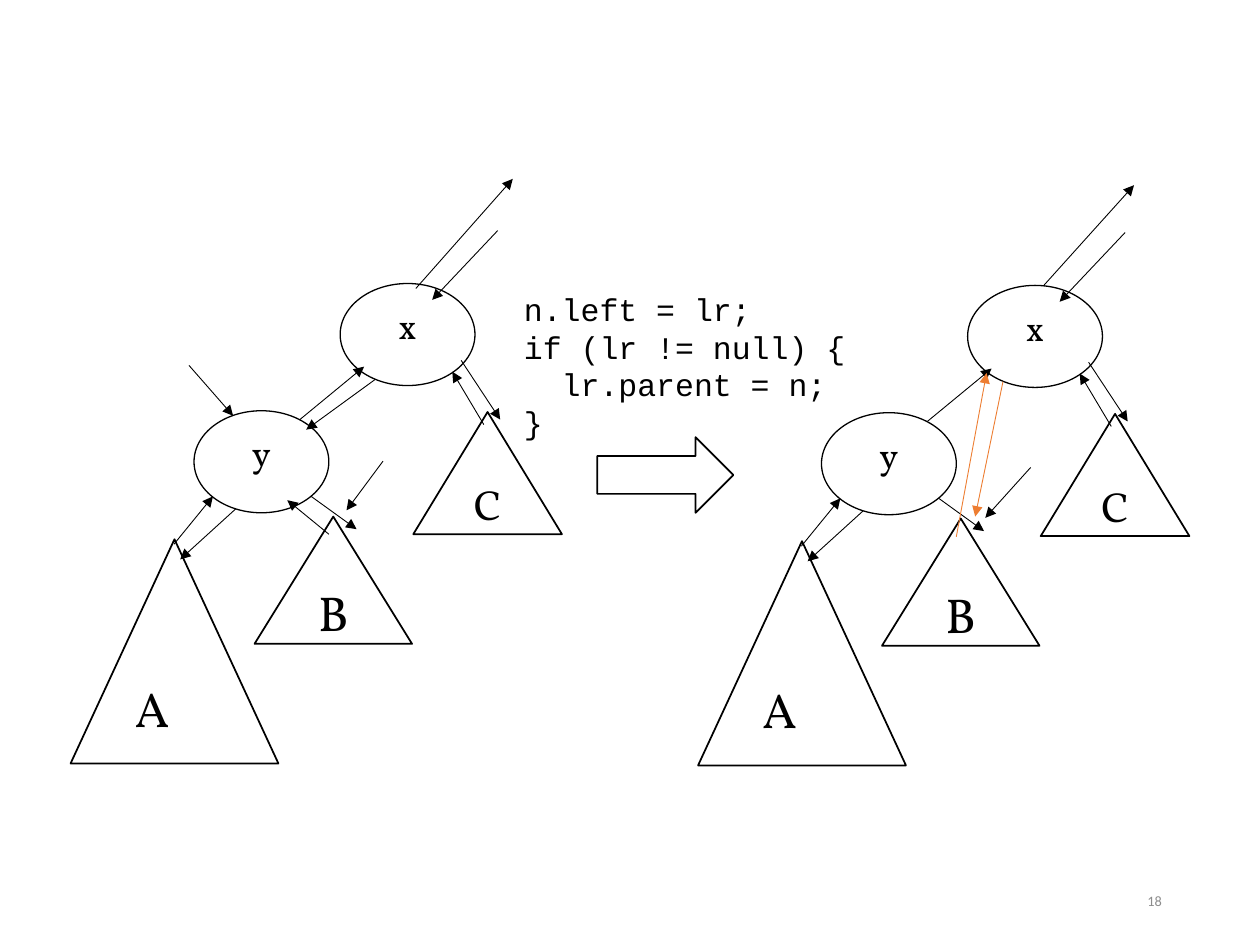
from dataclasses import dataclass

from lxml.etree import SubElement
from pptx import Presentation
from pptx.dml.color import RGBColor
from pptx.enum.shapes import MSO_CONNECTOR, MSO_SHAPE
from pptx.enum.text import MSO_ANCHOR, PP_ALIGN
from pptx.oxml.ns import qn
from pptx.util import Inches, Pt


@dataclass(frozen=True)
class Theme:
    ink: RGBColor = RGBColor(0, 0, 0)
    paper: RGBColor = RGBColor(255, 255, 255)
    accent: RGBColor = RGBColor(0xED, 0x7D, 0x31)
    muted: RGBColor = RGBColor(0x8C, 0x8C, 0x8C)
    serif: str = "Vollkorn"
    mono: str = "Courier New"
    sans: str = "Calibri"
    node: float = 20
    code: float = 18
    page: float = 8.2
    thin: float = 0.5
    edge: float = 0.75
    bold: float = 1


@dataclass(frozen=True)
class Node:
    name: str
    left: float
    top: float


@dataclass(frozen=True)
class Branch:
    name: str
    left: float
    top: float
    width: float
    height: float
    size: float
    align: PP_ALIGN = PP_ALIGN.CENTER


@dataclass(frozen=True)
class Link:
    x1: float
    y1: float
    x2: float
    y2: float
    color: RGBColor = Theme.ink


NODES = [Node("x", 2.7, 2.25), Node("y", 1.54, 3.26)]
BRANCHES = [
    Branch("A", 0.56, 4.28, 1.65, 1.78, 28, PP_ALIGN.LEFT),
    Branch("B", 2.02, 4.1, 1.25, 1.01, 28),
    Branch("C", 3.28, 3.27, 1.18, 0.97, 24),
]
# Links that both trees share, relative to the left tree
SHARED = [
    Link(3.95, 1.83, 3.43, 2.38),
    Link(2.38, 3.33, 2.89, 2.91),
    Link(2.47, 3.94, 2.83, 4.2),
    Link(3.66, 2.86, 3.97, 3.33),
    Link(3.84, 3.37, 3.59, 2.95),
    Link(1.87, 4.04, 1.43, 4.44),
    Link(1.38, 4.32, 1.69, 3.94),
]
BEFORE = [
    Link(2.98, 3.01, 2.43, 3.41),
    Link(2.61, 4.24, 2.28, 3.97),
    Link(1.5, 2.9, 1.85, 3.3),
    Link(3.04, 3.66, 2.75, 4.05),
    Link(3.3, 2.29, 4.07, 1.42),
]
AFTER = [
    Link(7.96, 3.03, 7.74, 4.1, Theme.accent),
    Link(7.59, 4.26, 7.83, 2.96, Theme.accent),
    Link(8.28, 2.27, 9, 1.47),
    Link(8.18, 3.71, 7.82, 4.11),
]
SHIFT = (4.98, 0.015)
CODE = "n.left = lr;\nif (lr != null) {\n  lr.parent = n;\n}"


def write(shape, text: str, font: str, size: float, color=Theme.ink,
          align=PP_ALIGN.LEFT, anchor=MSO_ANCHOR.TOP) -> None:
    frame = shape.text_frame
    frame.text = text
    frame.word_wrap = True
    frame.vertical_anchor = anchor
    for para in frame.paragraphs:
        para.alignment = align
        for run in para.runs:
            run.font.name = font
            run.font.size = Pt(size)
            run.font.color.rgb = color


def outline(slide, kind, left: float, top: float, width: float,
            height: float, weight: float, filled: bool = False):
    shape = slide.shapes.add_shape(
        kind, Inches(left), Inches(top), Inches(width), Inches(height))
    shape.shadow.inherit = False
    if filled:
        shape.fill.solid()
        shape.fill.fore_color.rgb = Theme.paper
    else:
        shape.fill.background()
    if weight:
        shape.line.color.rgb = Theme.ink
        shape.line.width = Pt(weight)
    else:
        shape.line.fill.background()
    return shape


def draw_link(slide, link: Link, dx: float = 0, dy: float = 0) -> None:
    line = slide.shapes.add_connector(
        MSO_CONNECTOR.STRAIGHT, Inches(link.x1 + dx), Inches(link.y1 + dy),
        Inches(link.x2 + dx), Inches(link.y2 + dy))
    line.line.color.rgb = link.color
    line.line.width = Pt(Theme.thin)
    SubElement(line.line._get_or_add_ln(), qn("a:tailEnd"), type="triangle")
    SubElement(line._element.spPr, qn("a:effectLst"))


def draw_tree(slide, extra: list[Link], dx: float = 0, dy: float = 0) -> None:
    """Draw the common tree at an offset, then its own links in place."""
    for node in NODES:
        oval = outline(slide, MSO_SHAPE.OVAL, node.left + dx, node.top + dy,
                       1.07, 0.81, Theme.edge, filled=True)
        write(oval, node.name, Theme.serif, Theme.node,
              align=PP_ALIGN.CENTER)
    for part in BRANCHES:
        shape = outline(slide, MSO_SHAPE.ISOSCELES_TRIANGLE, part.left + dx,
                        part.top + dy, part.width, part.height, Theme.bold)
        write(shape, part.name, Theme.serif, part.size, align=part.align,
              anchor=MSO_ANCHOR.MIDDLE)
    for link in SHARED:
        draw_link(slide, link, dx, dy)
    for link in extra:
        draw_link(slide, link)


def main() -> None:
    deck = Presentation()
    deck.slide_width, deck.slide_height = Inches(10), Inches(7.5)
    slide = deck.slides.add_slide(deck.slide_layouts[6])

    draw_tree(slide, BEFORE)
    code = outline(slide, MSO_SHAPE.RECTANGLE, 4.06, 2.25, 2.88, 1.31, 0,
                   filled=True)
    write(code, CODE, Theme.mono, Theme.code)
    outline(slide, MSO_SHAPE.RIGHT_ARROW, 4.74, 3.47, 1.08, 0.6, Theme.bold)
    draw_tree(slide, AFTER, *SHIFT)

    page = slide.shapes.add_textbox(
        Inches(7.07), Inches(6.95), Inches(2.25), Inches(0.4))
    write(page, "18", Theme.sans, Theme.page, Theme.muted, PP_ALIGN.RIGHT,
          MSO_ANCHOR.MIDDLE)
    deck.save("out.pptx")


if __name__ == "__main__":
    main()
